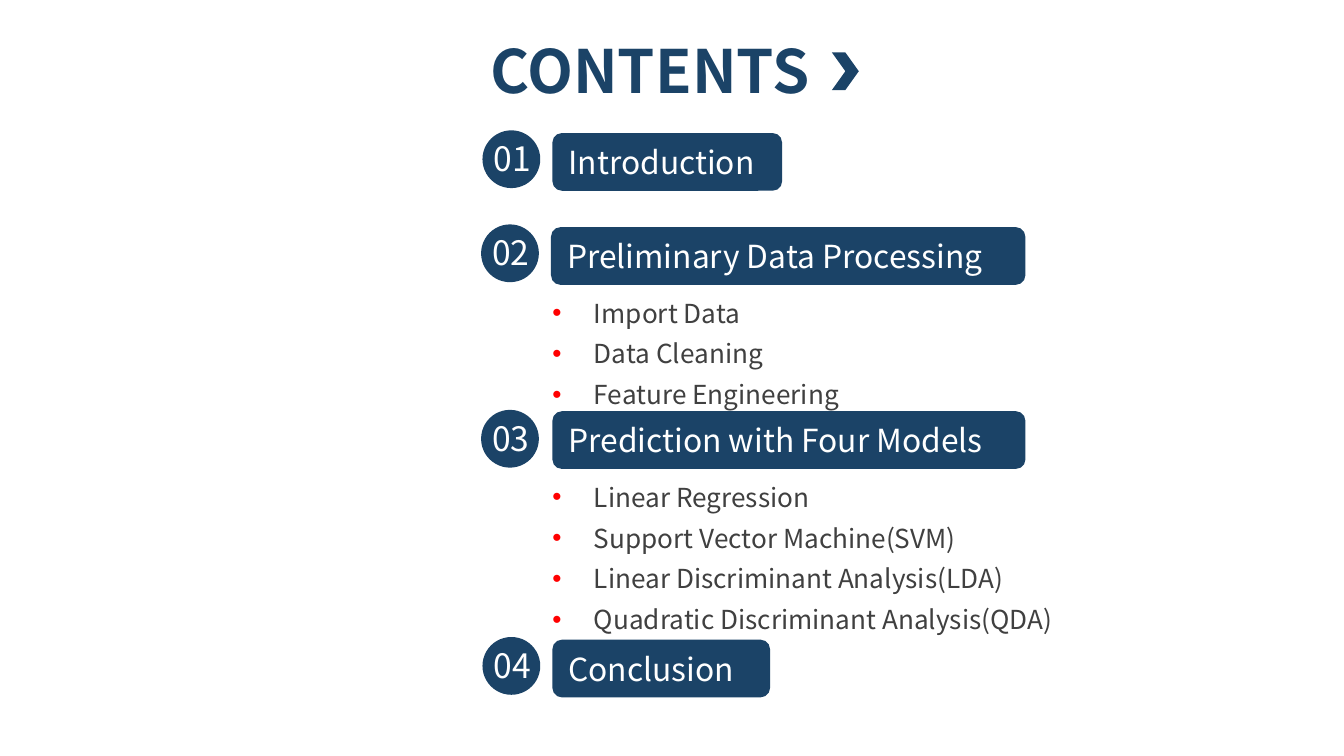
"""Build a contents slide with numbered headings and bullet lists."""
from lxml import etree
from pptx import Presentation
from pptx.dml.color import RGBColor
from pptx.enum import shapes, text
from pptx.oxml.ns import qn
from pptx.util import Inches, Pt

FONT = "Noto Sans CJK SC"
NAVY, WHITE, GRAY, RED = "1B4367", "FFFFFF", "404040", "FF0000"
KIND = shapes.MSO_SHAPE
WIDE = 10
HIGH = WIDE * 9 / 16
SIDE = 0.43

TITLE = "CONTENTS"
# heading, bar left, top and width, badge left and top, points
PARTS = [
    ("Introduction", (4.11, 0.99, 1.71), (3.59, 0.97), []),
    ("Preliminary Data Processing", (4.1, 1.69, 3.53), (3.58, 1.67),
     ["Import Data", "Data Cleaning", "Feature Engineering"]),
    ("Prediction with Four Models", (4.11, 3.06, 3.52), (3.58, 3.05),
     ["Linear Regression", "Support Vector Machine(SVM)",
      "Linear Discriminant Analysis(LDA)",
      "Quadratic Discriminant Analysis(QDA)"]),
    ("Conclusion", (4.11, 4.76, 1.62), (3.59, 4.74), []),
]


def color(code):
    return RGBColor.from_string(code)


def place(*box):
    return [Inches(n) for n in box]


def draw(home, kind, *box):
    shape = home.shapes.add_shape(kind, *place(*box))
    shape.shadow.inherit = False
    shape.fill.solid()
    shape.fill.fore_color.rgb = color(NAVY)
    shape.line.fill.background()
    return shape


def write(shape, lines, size, code, align=text.PP_ALIGN.LEFT, bold=False):
    frame = shape.text_frame
    frame.word_wrap = True
    frame.text = "\n".join(lines)
    for para in frame.paragraphs:
        para.alignment = align
        font = para.font
        font.name, font.size, font.bold = FONT, Pt(size), bold
        font.color.rgb = color(code)
    return frame


def label(home, box, *args, **style):
    return write(home.shapes.add_textbox(*place(*box)), *args, **style)


def bullet(para):
    para.line_spacing = 1.3
    props = para._p.get_or_add_pPr()
    props.set("marL", str(Inches(0.31)))
    props.set("indent", str(-Inches(0.31)))
    tint = etree.Element(qn("a:buClr"))
    etree.SubElement(tint, qn("a:srgbClr"), val=RED)
    face = etree.Element(qn("a:buFont"), typeface="Arial")
    mark = etree.Element(qn("a:buChar"), char="•")
    spot = props.index(props.find(qn("a:lnSpc"))) + 1
    props[spot:spot] = [tint, face, mark]


def badge(slide, num, left, top):
    group = slide.shapes.add_group_shape()
    draw(group, KIND.OVAL, left, top, SIDE, SIDE)
    label(group, (left - 0.04, top + 0.01, 0.52, 0.4), [f"{num:02}"],
          18, WHITE, align=text.PP_ALIGN.CENTER)


def points(slide, top, lines):
    box = (4.03, top, 4.36, 0.32 * len(lines))
    frame = label(slide, box, lines, 14, GRAY)
    frame.margin_left = frame.margin_right = Inches(0.08)
    frame.margin_top = frame.margin_bottom = Inches(0.04)
    for para in frame.paragraphs:
        bullet(para)


def main():
    deck = Presentation()
    deck.slide_width, deck.slide_height = place(WIDE, HIGH)
    slide = deck.slides.add_slide(deck.slide_layouts[6])
    label(slide, (3.55, 0.2, 2.85, 0.64), [TITLE], 32, NAVY, bold=True)
    draw(slide, KIND.CHEVRON, 6.19, 0.39, 0.2, 0.28)
    for num, (head, (left, top, width), disc, lines) in enumerate(PARTS, 1):
        bar = draw(slide, KIND.ROUNDED_RECTANGLE, left, top, width, SIDE)
        write(bar, [head], 17, WHITE)
        badge(slide, num, *disc)
        if lines:
            points(slide, top + 0.41, lines)
    deck.save("out.pptx")


if __name__ == "__main__":
    main()
